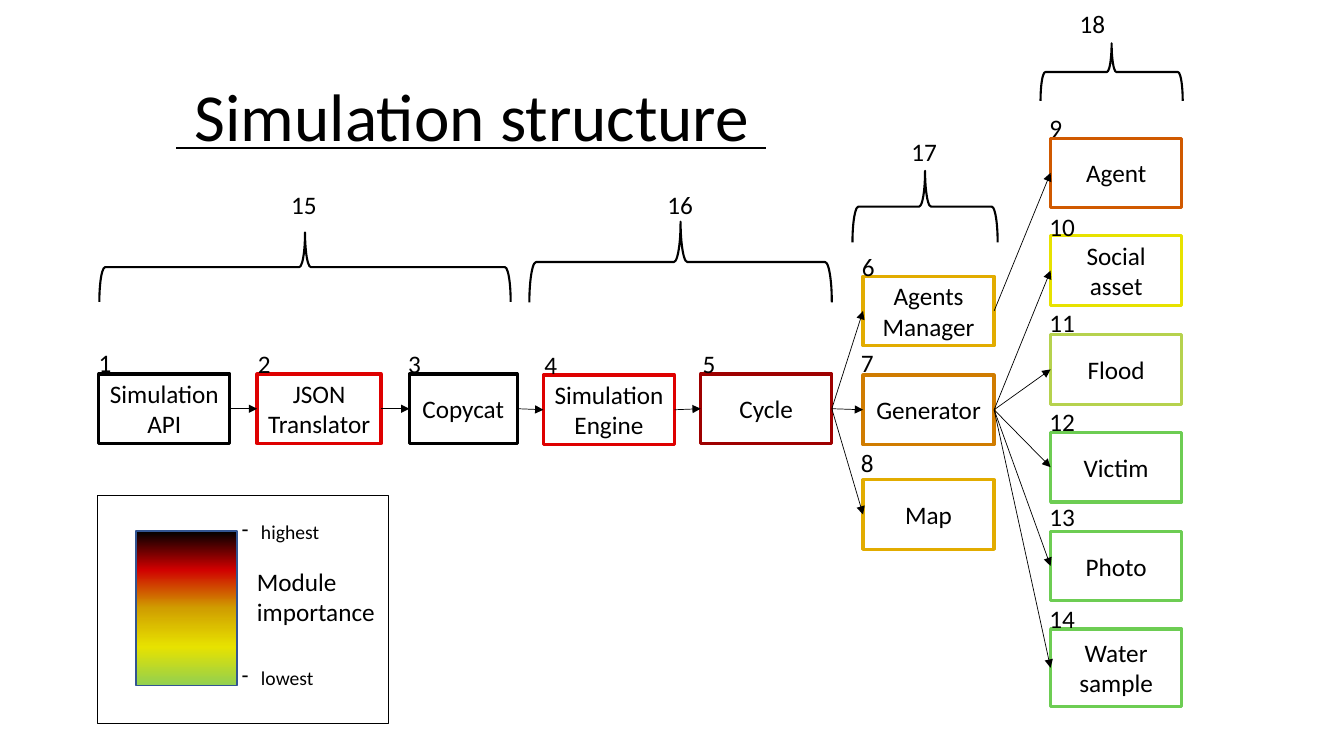
from lxml import etree
from pptx import Presentation
from pptx.dml.color import RGBColor
from pptx.enum.shapes import MSO_CONNECTOR, MSO_SHAPE
from pptx.enum.text import MSO_ANCHOR, MSO_AUTO_SIZE, PP_ALIGN
from pptx.oxml.ns import qn
from pptx.util import Pt

RECT, BRACE = MSO_SHAPE.RECTANGLE, MSO_SHAPE.LEFT_BRACE
STRAIGHT = MSO_CONNECTOR.STRAIGHT
LEFT, CENTER = PP_ALIGN.LEFT, PP_ALIGN.CENTER
TOP = MSO_ANCHOR.TOP
FIT = MSO_AUTO_SIZE.SHAPE_TO_FIT_TEXT

PX = 9144  # 100 px to the inch
FONT = "Calibri"
COLORS = {
    "black": "000000", "white": "FFFFFF", "red": "DE0000", "dark red": "9E0000",
    "gold": "E2AC00", "orange": "D07C00", "rust": "D05900", "yellow": "E7E200",
    "lime": "B6D24E", "green": "6DCD53", "scale edge": "325491",
    "scale red": "D00000", "scale gold": "D09E00", "scale green": "92D050",
}

TITLE = ("Simulation structure", 183, 69, 577, 91)
UNDERLINE = (175, 147, 760, 147)

# number: (name, border, x, y, w, h, number x, number y)
MODULES = {
    1: ("Simulation API", "black", 98, 371, 130, 69, 88, 340),
    2: ("JSON Translator", "red", 255, 371, 123, 69, 246, 341),
    3: ("Copycat", "black", 406, 371, 107, 69, 395, 341),
    4: ("Simulation Engine", "red", 539, 372, 130, 69, 530, 342),
    5: ("Cycle", "dark red", 695, 371, 130, 69, 687, 341),
    6: ("Agents Manager", "gold", 856, 274, 130, 69, 845, 244),
    7: ("Generator", "orange", 856, 372, 130, 69, 844, 340),
    8: ("Map", "gold", 856, 476, 130, 69, 844, 439),
    9: ("Agent", "rust", 1042, 137, 130, 69, 1031, 107),
    10: ("Social asset", "yellow", 1042, 234, 130, 69, 1031, 205),
    11: ("Flood", "lime", 1042, 332, 130, 69, 1031, 300),
    12: ("Victim", "green", 1042, 429, 130, 69, 1031, 398),
    13: ("Photo", "green", 1042, 527, 130, 69, 1031, 492),
    14: ("Water sample", "green", 1042, 624, 130, 77, 1031, 594),
}
LINKS = {1: [2], 2: [3], 3: [4], 4: [5], 5: [6, 7, 8],
         6: [9], 7: [10, 11, 12, 13, 14]}

# number: (centre x, centre y, span, depth, number x, number y)
GROUPS = {
    15: (302, 265, 408, 69, 279, 183),
    16: (675, 260, 300, 80, 652, 183),
    17: (917, 205, 144, 71, 894, 130),
    18: (1102, 71, 141, 57, 1061, 3),
}

LEGEND_FRAME = (97, 492, 288, 226)
LEGEND_SCALE = (135, 527, 100, 153)
LEGEND_TITLE = ("Module importance", 245, 557, 140, 71)
LEGEND_ENDS = [("highest", 230, 511, 98, 34), ("lowest", 230, 656, 92, 34)]
SCALE_STOPS = ["black", "scale red", "scale gold", "yellow", "scale green"]


def emu(*lengths):
    return [v * PX for v in lengths]


def rgb(name):
    return RGBColor.from_string(COLORS[name])


def format_text(tf, size, align=LEFT):
    p = tf.paragraphs[0]
    p.alignment = align
    font = p.runs[0].font
    font.name, font.size, font.color.rgb = FONT, Pt(size), rgb("black")


def add_text(text, x, y, w, h, size=18, wrap=False):
    tb = slide.shapes.add_textbox(*emu(x, y, w, h))
    tf = tb.text_frame
    tf.text = text
    tf.word_wrap = wrap
    tf.auto_size = FIT
    format_text(tf, size)
    return tb


def add_number(n, x, y):
    add_text(str(n), x, y, 33 if n < 10 else 46, 40)


def add_outline(kind, box, line, width, fill=None):
    s = slide.shapes.add_shape(kind, *emu(*box))
    s.shadow.inherit = False
    s.line.color.rgb = rgb(line)
    s.line.width = Pt(width)
    if fill:
        s.fill.solid()
        s.fill.fore_color.rgb = rgb(fill)
    else:
        s.fill.background()
    return s


def add_line(x1, y1, x2, y2, width):
    c = slide.shapes.add_connector(STRAIGHT, *emu(x1, y1, x2, y2))
    c.line.color.rgb = rgb("black")
    c.line.width = Pt(width)
    etree.SubElement(c._element.spPr, qn("a:effectLst"))
    return c


prs = Presentation()
prs.slide_width, prs.slide_height = emu(1333, 750)
slide = prs.slides.add_slide(prs.slide_layouts[5])

# Title and its underline
text, *box = TITLE
title = slide.shapes.title
title.left, title.top, title.width, title.height = emu(*box)
tf = title.text_frame
tf.text = text
tf.word_wrap = False
tf.auto_size = FIT
tf.vertical_anchor = TOP
format_text(tf, 48)
add_line(*UNDERLINE, 1.5)

# Modules, then their numbers on top
boxes = {}
for n, (name, border, *box, _, _) in MODULES.items():
    s = add_outline(RECT, box, border, 2.25, "white")
    s.text_frame.text = name
    s.text_frame.word_wrap = True
    format_text(s.text_frame, 18, CENTER)
    boxes[n] = s
for n, (*_, x, y) in MODULES.items():
    add_number(n, x, y)

# Arrows from right side to left side
for source, targets in LINKS.items():
    for target in targets:
        c = add_line(0, 0, 0, 0, 0.5)
        c.begin_connect(boxes[source], 3)
        c.end_connect(boxes[target], 1)
        etree.SubElement(c.line._get_or_add_ln(), qn("a:tailEnd"), type="triangle")

# Group braces, turned to open downwards
for n, (cx, cy, span, depth, x, y) in GROUPS.items():
    box = (cx - depth // 2, cy - span // 2, depth, span)
    add_outline(BRACE, box, "black", 1.5).rotation = 90
    add_number(n, x, y)

# Legend
add_outline(RECT, LEGEND_FRAME, "black", 0.75)
scale = add_outline(RECT, LEGEND_SCALE, "scale edge", 1)
scale.fill.gradient()
scale.fill.gradient_angle = 270
stops = scale._element.spPr.find(".//" + qn("a:gsLst"))
for old in list(stops):
    stops.remove(old)
for i, name in enumerate(SCALE_STOPS):
    stop = etree.SubElement(stops, qn("a:gs"), pos=str(i * 25000))
    etree.SubElement(stop, qn("a:srgbClr"), val=COLORS[name])
add_text(*LEGEND_TITLE, wrap=True)
for end in LEGEND_ENDS:
    tb = add_text(*end, size=14)
    pPr = tb.text_frame.paragraphs[0]._p.get_or_add_pPr()
    pPr.set("marL", str(19 * PX))
    pPr.set("indent", str(-19 * PX))
    etree.SubElement(pPr, qn("a:buChar"), char="-")

prs.save("out.pptx")
